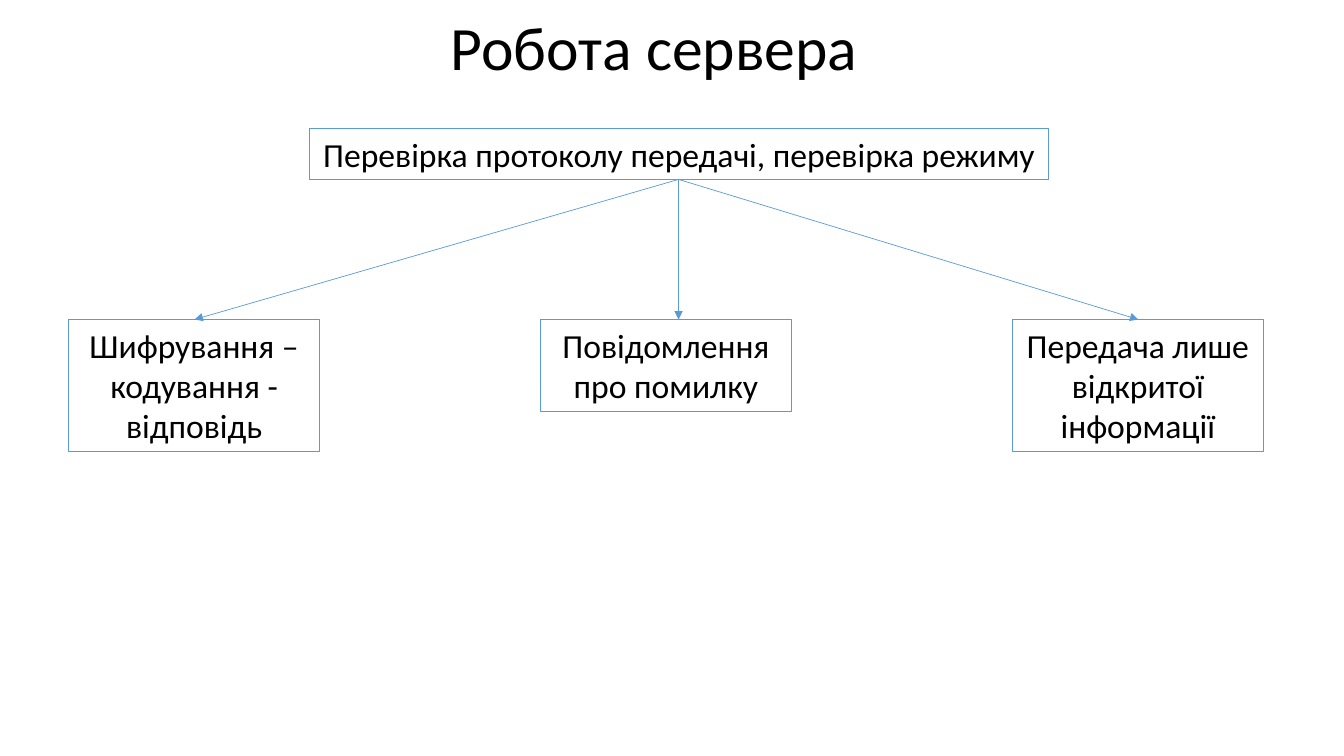
"""Builds the slide about the work of the server."""
from lxml import etree
from pptx import Presentation
from pptx.dml.color import RGBColor
from pptx.enum import shapes, text
from pptx.oxml import ns
from pptx.util import Inches, Pt

BLACK = RGBColor(0x00, 0x00, 0x00)
BLUE = RGBColor(0x5B, 0x9B, 0xD5)


class Diagram:
    """Holds the style and the current slide."""

    font = "Calibri"

    def __init__(self, page):
        """Keep the slide that is drawn on."""
        self.page = page

    def add_words(self, frame, words, size, align):
        """Put one paragraph with one run into a text frame."""
        para = frame.paragraphs[0]
        para.alignment = align
        span = para.add_run()
        span.text = words
        span.font.name = self.font
        span.font.size = Pt(size)
        span.font.color.rgb = BLACK
        return para

    def title(self, words, left, top, width, height):
        """Add the heading."""
        box = self.page.shapes.add_textbox(
            Inches(left), Inches(top), Inches(width), Inches(height))
        frame = box.text_frame
        frame.word_wrap = True
        frame.vertical_anchor = text.MSO_ANCHOR.MIDDLE
        para = self.add_words(frame, words, 44, text.PP_ALIGN.LEFT)
        para.line_spacing = 0.9

    def box(self, words, left, top, width, height, wrap=True):
        """Add an outlined rectangle with centred text."""
        box = self.page.shapes.add_shape(
            shapes.MSO_SHAPE.RECTANGLE,
            Inches(left), Inches(top), Inches(width), Inches(height))
        box.shadow.inherit = False
        box.fill.background()
        box.line.color.rgb = BLUE
        box.line.width = Pt(0.75)
        frame = box.text_frame
        frame.word_wrap = wrap
        frame.auto_size = text.MSO_AUTO_SIZE.SHAPE_TO_FIT_TEXT
        frame.vertical_anchor = text.MSO_ANCHOR.TOP
        self.add_words(frame, words, 24, text.PP_ALIGN.CENTER)

    def arrow(self, start, end):
        """Add a thin line with an arrowhead at its end."""
        arrow = self.page.shapes.add_connector(
            shapes.MSO_CONNECTOR.STRAIGHT,
            *(Inches(value) for value in (*start, *end)))
        arrow.line.color.rgb = BLUE
        arrow.line.width = Pt(0.5)
        properties = arrow.element.spPr
        outline = properties.find(ns.qn("a:ln"))
        etree.SubElement(outline, ns.qn("a:tailEnd"), type="triangle")
        etree.SubElement(properties, ns.qn("a:effectLst"))


CHECK_BOTTOM = (6.73, 1.78)
RESULT_LEFT, RESULT_STEP, RESULT_TOP, RESULT_WIDTH = 0.68, 4.68, 3.17, 2.49
# Wording, box height, x of the arrow tip
RESULTS = [
    ("Шифрування – кодування - відповідь", 1.31, 1.93),
    ("Повідомлення про помилку", 0.91, 6.73),
    ("Передача лише відкритої інформації", 1.31, 11.29),
]

deck = Presentation()
deck.slide_width, deck.slide_height = Inches(13.33), Inches(7.5)
diagram = Diagram(deck.slides.add_slide(deck.slide_layouts[6]))

diagram.title("Робота сервера", 4.37, 0, 4.73, 1)
for _, _, tip in RESULTS:
    diagram.arrow(CHECK_BOTTOM, (tip, RESULT_TOP))
diagram.box("Перевірка протоколу передачі, перевірка режиму",
            3.07, 1.28, 7.33, 0.5, wrap=False)
for index, (words, height, _) in enumerate(RESULTS):
    diagram.box(words, RESULT_LEFT + index * RESULT_STEP, RESULT_TOP,
                RESULT_WIDTH, height)

deck.save("out.pptx")
